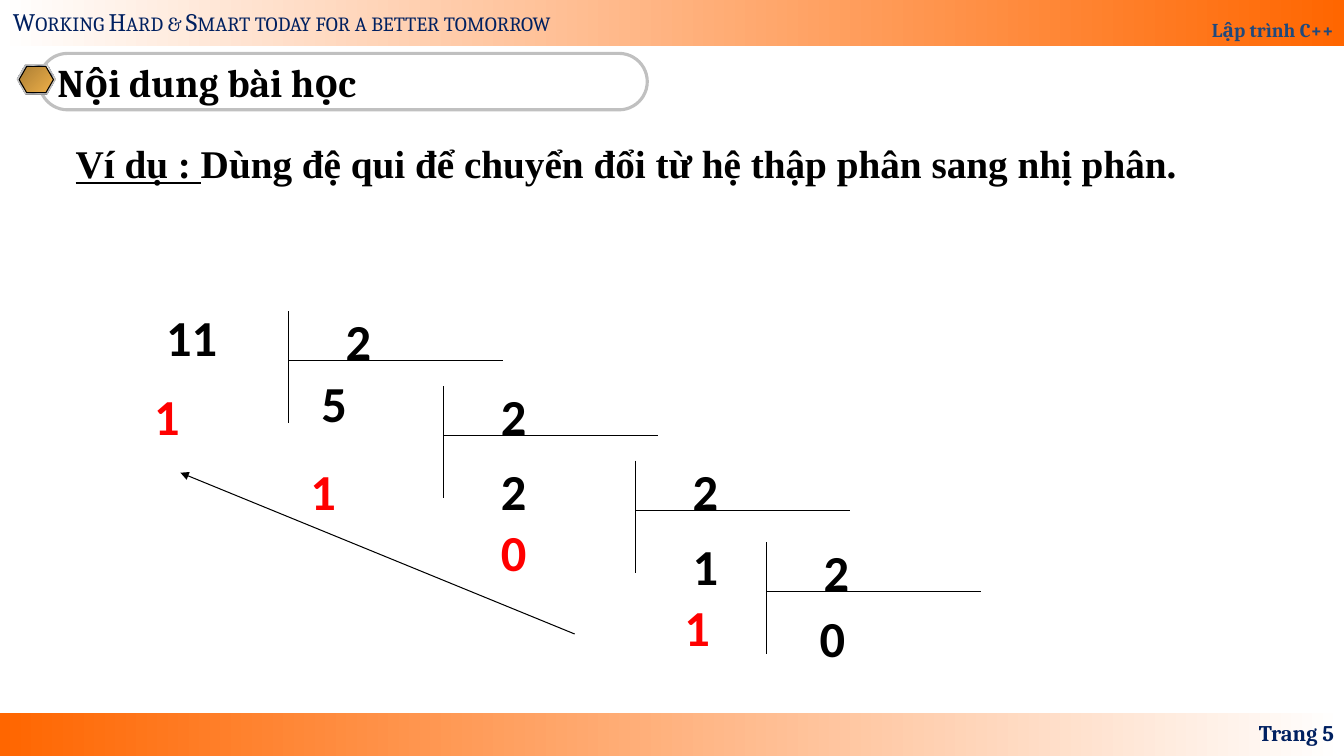
from copy import deepcopy
from lxml.etree import SubElement
from pptx import Presentation
from pptx.dml.color import RGBColor
from pptx.enum.shapes import MSO_CONNECTOR, MSO_SHAPE
from pptx.enum.text import MSO_ANCHOR, MSO_AUTO_SIZE, PP_ALIGN
from pptx.oxml.ns import qn
from pptx.util import Inches, Pt

BLACK, RED, NAVY, SILVER = "000000", "FF0000", "002060", "C0C0C0"
WHITE, ORANGE = "FFFFFF", "FF6600"
GOLD = [(0, "AB7E34"), (100, "EFB049")]
STEEL = [(0, "E6E6E6"), (7, "7D8496"), (26, "E6E6E6"), (34, "7D8496"),
         (46, "E6E6E6"), (50, "FFFFFF"), (54, "E6E6E6"), (66, "7D8496"),
         (74, "E6E6E6"), (93, "7D8496"), (100, "E6E6E6")]


def color(code):
    return RGBColor.from_string(code)


class Deck:
    font = "Cambria"

    def __init__(self):
        self.file = Presentation()
        self.file.slide_width = Inches(13.33)
        self.file.slide_height = Inches(7.5)
        self.slide = self.file.slides.add_slide(self.file.slide_layouts[1])
        self.shapes = self.slide.shapes

    def label(self, shape, runs, size, ink, font=None, bold=True,
              align=PP_ALIGN.LEFT, anchor=MSO_ANCHOR.MIDDLE, wrap=True):
        """Fill a shape with one paragraph of (text, underline) runs."""
        frame = shape.text_frame
        frame.auto_size = MSO_AUTO_SIZE.NONE
        frame.word_wrap = wrap
        frame.vertical_anchor = anchor
        para = frame.paragraphs[0]
        para.alignment = align
        para.space_before = Pt(0)
        for text, under in runs:
            run = para.add_run()
            run.text = text
            run.font.name = font or self.font
            run.font.size = Pt(size)
            run.font.bold = bold
            run.font.underline = under
            run.font.color.rgb = color(ink)
        return para

    def place(self, index, box):
        holder = self.slide.placeholders[index]
        holder.left, holder.top, holder.width, holder.height = map(Inches, box)
        return holder

    def text(self, box, words, size, ink, **style):
        shape = self.shapes.add_textbox(*map(Inches, box))
        return self.label(shape, [(words, False)], size, ink, **style)

    def shape(self, kind, box, fill=None, line=None, width=0.75, adjust=(), angle=0):
        """Fill is None, a hex string or a list of gradient stops."""
        item = self.shapes.add_shape(kind, *map(Inches, box))
        item.shadow.inherit = False
        for i, value in enumerate(adjust):
            item.adjustments[i] = value
        if fill is None:
            item.fill.background()
        elif isinstance(fill, str):
            item.fill.solid()
            item.fill.fore_color.rgb = color(fill)
        else:
            self.blend(item, fill, angle)
        if line:
            item.line.color.rgb = color(line)
            item.line.width = Pt(width)
        else:
            item.line.fill.background()
        return item

    def blend(self, item, stops, angle):
        item.fill.gradient()
        item.fill.gradient_angle = (360 - angle) % 360
        group = next(item.element.iter(qn("a:gsLst")))
        for _ in stops[2:]:
            group.append(deepcopy(group[0]))
        for stop, (spot, code) in zip(item.fill.gradient_stops, stops):
            stop.position = spot / 100
            stop.color.rgb = color(code)

    def line(self, start, end, arrow=False):
        item = self.shapes.add_connector(
            MSO_CONNECTOR.STRAIGHT, *map(Inches, (*start, *end)))
        item.line.color.rgb = color(BLACK)
        item.line.width = Pt(0.75)
        props = item.element.spPr
        if arrow:
            SubElement(props.find(qn("a:ln")), qn("a:tailEnd"), type="triangle")
        SubElement(props, qn("a:effectLst"))

    def digit(self, x, y, words, ink=BLACK, high=0.73):
        self.text((x, y, 1.42, high), words, 36, ink, font="Calibri")


def main():
    deck = Deck()

    # Header and footer bands
    deck.shape(MSO_SHAPE.RECTANGLE, (0, 7.07, 13.33, 0.43),
               [(0, ORANGE), (100, WHITE)])
    band = deck.shape(MSO_SHAPE.RECTANGLE, (0, 0, 13.33, 0.46),
                      [(0, WHITE), (100, ORANGE)])
    para = deck.label(band, [("Lập trình C++", False)], 14, "1F497D",
                      align=PP_ALIGN.RIGHT, anchor=MSO_ANCHOR.BOTTOM)
    para.line_spacing = 1.8
    motto = deck.text((0.03, 0.01, 5.9, 0.4),
                      "Working Hard & Smart today for a better tomorrow", 18,
                      NAVY, bold=False, anchor=MSO_ANCHOR.TOP, wrap=False)
    motto.runs[0].font._element.set("cap", "small")
    deck.text((10.22, 7.07, 3.11, 0.4), "Trang 5", 16, NAVY,
              align=PP_ALIGN.RIGHT)

    # Title pill with its hexagon badge
    deck.shape(MSO_SHAPE.ROUNDED_RECTANGLE, (0.39, 0.53, 6.03, 0.56),
               line=SILVER, width=2.25, adjust=[0.5])
    for box, fill, edge in [((0.17, 0.65, 0.38, 0.29), "808080", None),
                            ((0.17, 0.64, 0.38, 0.29), STEEL, SILVER),
                            ((0.19, 0.66, 0.34, 0.26), GOLD, BLACK)]:
        deck.shape(MSO_SHAPE.HEXAGON, box, fill, edge,
                   adjust=[0.289, 1.155], angle=45)
    deck.label(deck.place(0, (0.47, 0.53, 5.87, 0.56)),
               [("Nội dung bài học", False)], 28, BLACK)

    # Example statement
    body = deck.place(1, (0.65, 1.33, 12.33, 0.57))
    props = body.text_frame.paragraphs[0]._p.get_or_add_pPr()
    props.set("marL", "0")
    props.set("indent", "0")
    SubElement(props, qn("a:buNone"))
    deck.label(body, [("Ví dụ : ", True),
                      ("Dùng đệ qui để chuyển đổi từ hệ thập phân sang nhị phân.", False)],
               28, BLACK, font="Times New Roman", anchor=MSO_ANCHOR.TOP)

    # Division steps: corner, quotient and remainder with their places
    deck.digit(1.55, 2.97, "11")
    steps = [((2.86, 3.09), ("5", 3.09, 3.63), ("1", 1.43, 3.76)),
             ((4.4, 3.83), ("2", 4.87, 4.5), ("1", 2.98, 4.5)),
             ((6.3, 4.57), ("1", 6.77, 5.24), ("0", 4.87, 5.11)),
             ((7.6, 5.38), ("0", 8.03, 5.96), ("1", 6.69, 5.85))]
    for (x, y), (quot, qx, qy), (rest, rx, ry) in steps:
        deck.line((x, y), (x, y + 1.11))
        deck.line((x, y + 0.49), (x + 2.13, y + 0.49))
        deck.digit(x + 0.47, y - 0.23, "2", high=1.04)
        deck.digit(qx, qy, quot)
        deck.digit(rx, ry, rest, RED)

    # Reading order of the remainders
    deck.line((5.7, 6.29), (1.79, 4.69), arrow=True)

    deck.file.save("out.pptx")


if __name__ == "__main__":
    main()
